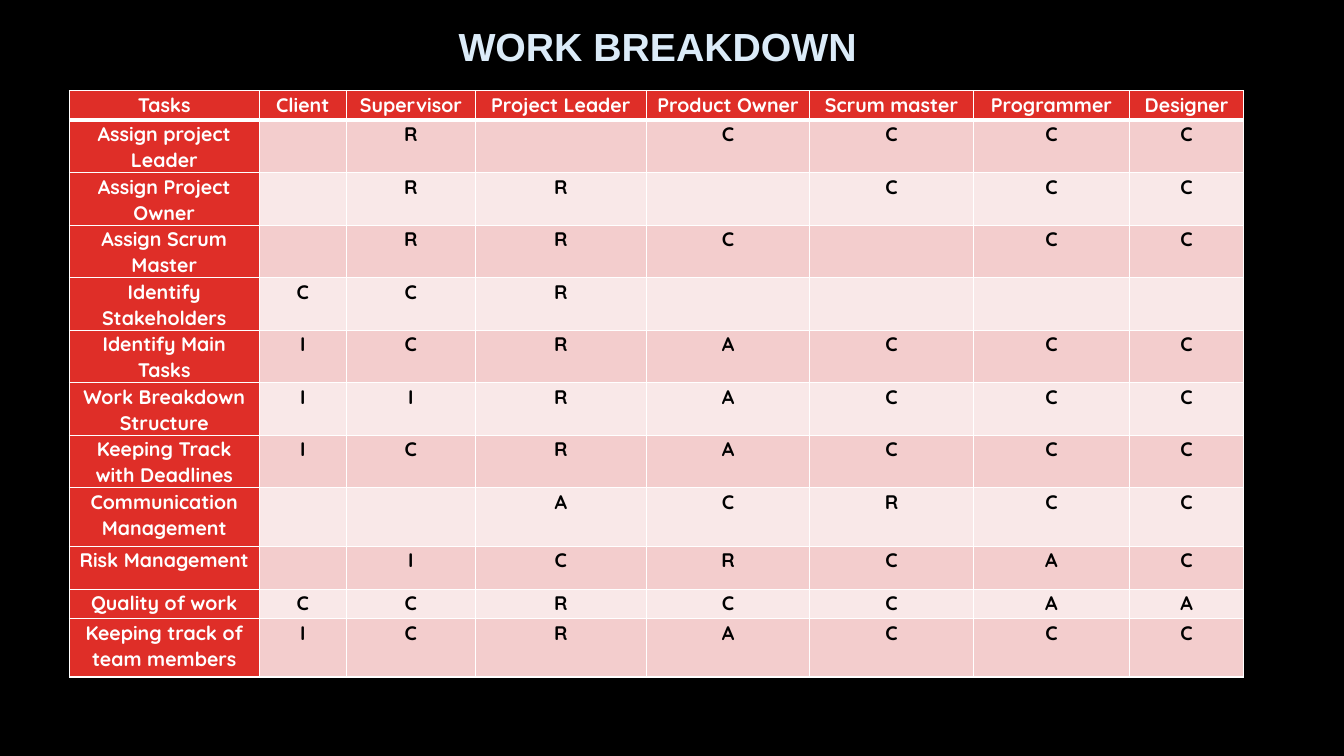
from pptx import Presentation
from pptx.dml.color import RGBColor
from pptx.enum.text import MSO_ANCHOR, PP_ALIGN
from pptx.oxml import parse_xml
from pptx.oxml.ns import nsdecls
from pptx.util import Cm, Pt

COLORS = {
    "background": "000000",
    "title": "DBEBF8",
    "red": "DF2E28",
    "band_dark": "F3CDCD",
    "band_light": "F9E8E8",
    "white": "FFFFFF",
    "black": "000000",
}

ROLES = ["Client", "Supervisor", "Project Leader", "Product Owner",
         "Scrum master", "Programmer", "Designer"]
COLUMN_WIDTHS = [4.78, 2.2, 3.25, 4.31, 4.12, 4.12, 3.94, 2.87]
SINGLE, DOUBLE, TALL = 0.74, 1.09, 1.47

# Task, one letter per role ("-" for none), row height in cm
TASKS = [
    ("Assign project Leader", "-R-CCCC", DOUBLE),
    ("Assign Project Owner", "-RR-CCC", DOUBLE),
    ("Assign Scrum Master", "-RRC-CC", DOUBLE),
    ("Identify Stakeholders", "CCR----", DOUBLE),
    ("Identify Main Tasks", "ICRACCC", SINGLE),
    ("Work Breakdown Structure", "IIRACCC", DOUBLE),
    ("Keeping Track with Deadlines", "ICRACCC", DOUBLE),
    ("Communication Management", "--ACRCC", TALL),
    ("Risk Management", "-ICRCAC", DOUBLE),
    ("Quality of work", "CCRCCAA", SINGLE),
    ("Keeping track of team members", "ICRACCC", TALL),
]


def format_text(paragraph, font_name, size, color):
    paragraph.alignment = PP_ALIGN.CENTER
    for span in paragraph.runs:
        span.font.name = font_name
        span.font.size = Pt(size)
        span.font.bold = True
        span.font.color.rgb = RGBColor.from_string(COLORS[color])


def set_borders(cell, top, bottom):
    properties = cell._tc.get_or_add_tcPr()
    widths = {"lnL": 1, "lnR": 1, "lnT": top, "lnB": bottom}
    for position, (side, width) in enumerate(widths.items()):
        properties.insert(position, parse_xml(
            f'<a:{side} {nsdecls("a")} w="{Pt(width)}"><a:solidFill>'
            f'<a:srgbClr val="{COLORS["white"]}"/></a:solidFill></a:{side}>'))


deck = Presentation()
deck.slide_width, deck.slide_height = Cm(33.87), Cm(19.05)
page = deck.slides.add_slide(deck.slide_layouts[5])
page.background.fill.solid()
page.background.fill.fore_color.rgb = RGBColor.from_string(COLORS["background"])

# Title
title = page.shapes.title
title.left, title.top, title.width, title.height = Cm(8.1), Cm(0.43), Cm(16.94), Cm(1.45)
title.text_frame.text = "WORK BREAKDOWN"
title.text_frame.vertical_anchor = MSO_ANCHOR.MIDDLE
format_text(title.text_frame.paragraphs[0], "Arial", 28, "title")

# Responsibility table
rows = [["Tasks", *ROLES]]
rows += [[task, *letters.replace("-", " ")] for task, letters, height in TASKS]
row_heights = [SINGLE] + [height for task, letters, height in TASKS]
table = page.shapes.add_table(len(rows), len(COLUMN_WIDTHS), Cm(1.75), Cm(2.29),
                              Cm(sum(COLUMN_WIDTHS)), Cm(sum(row_heights))).table
for column, width in zip(table.columns, COLUMN_WIDTHS):
    column.width = Cm(width)

for row_index, (values, height) in enumerate(zip(rows, row_heights)):
    table.rows[row_index].height = Cm(height)
    band = "band_dark" if row_index % 2 else "band_light"
    for column_index, value in enumerate(values):
        cell = table.cell(row_index, column_index)
        heading = row_index == 0 or column_index == 0
        cell.fill.solid()
        cell.fill.fore_color.rgb = RGBColor.from_string(COLORS["red" if heading else band])
        cell.margin_left = cell.margin_right = Cm(0.18)
        cell.margin_top = cell.margin_bottom = 0
        set_borders(cell, top=3 if row_index == 1 else 1,
                    bottom=3 if row_index == 0 else 1)
        if value.strip():
            cell.text_frame.text = value
            paragraph = cell.text_frame.paragraphs[0]
            paragraph.line_spacing = 1.07
            paragraph.space_after = Pt(8)
            format_text(paragraph, "Quicksand", 14, "white" if heading else "black")

deck.save("out.pptx")
